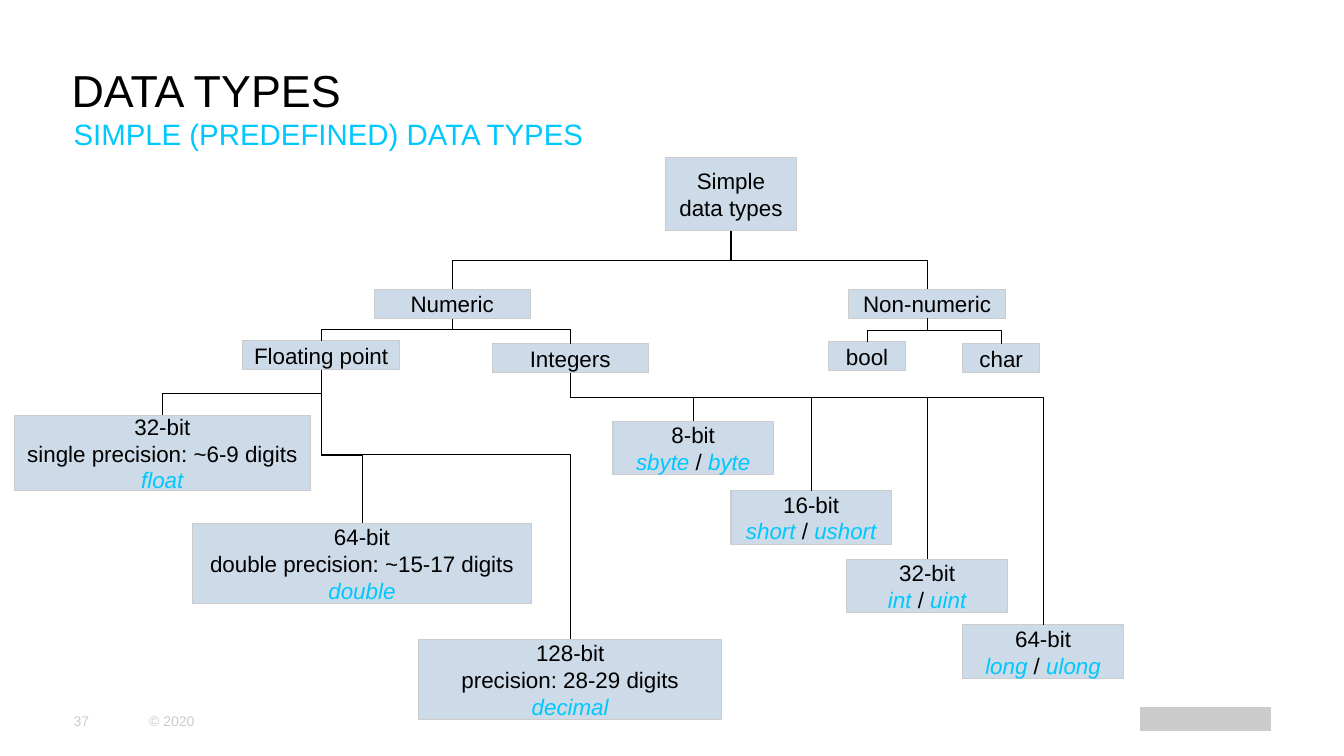
from dataclasses import dataclass

from lxml import etree
from pptx import Presentation
from pptx.dml.color import RGBColor
from pptx.enum.shapes import MSO_CONNECTOR, MSO_SHAPE
from pptx.enum.text import MSO_ANCHOR, MSO_AUTO_SIZE, PP_ALIGN
from pptx.oxml.ns import qn
from pptx.util import Inches, Pt

ELBOW, RECTANGLE = MSO_CONNECTOR.ELBOW, MSO_SHAPE.RECTANGLE
TOP, MIDDLE, BOTTOM = MSO_ANCHOR.TOP, MSO_ANCHOR.MIDDLE, MSO_ANCHOR.BOTTOM
LEFT, CENTER, NO_FIT = PP_ALIGN.LEFT, PP_ALIGN.CENTER, MSO_AUTO_SIZE.NONE

FONT = "Arial"
COLORS = {"text": "000000", "accent": "00C8FF", "box": "CDDAE7", "muted": "CCCCCC"}


@dataclass
class Node:
    """A box of the tree; bend is the height of the line's bar above it."""
    lines: tuple
    left: float
    top: float
    width: float
    height: float
    bend: float = 0
    keywords: tuple = ()
    children: tuple = ()

    @property
    def center(self) -> float:
        return self.left + self.width / 2

    @property
    def bottom(self) -> float:
        return self.top + self.height


def color(name: str) -> RGBColor:
    return RGBColor.from_string(COLORS[name])


def style(font, size: int, color_name: str, italic: bool = False) -> None:
    font.name, font.size, font.italic = FONT, Pt(size), italic
    font.color.rgb = color(color_name)


def fill_label(shape, text: str, size: int, color_name: str, anchor) -> None:
    frame = shape.text_frame
    frame.text = text
    frame.word_wrap, frame.auto_size, frame.vertical_anchor = True, NO_FIT, anchor
    frame.margin_left = frame.margin_right = frame.margin_top = frame.margin_bottom = 0
    para = frame.paragraphs[0]
    para.alignment = LEFT
    style(para.runs[0].font, size, color_name)


def add_label(page, text: str, area: tuple, size: int, color_name: str, anchor) -> None:
    box = page.shapes.add_textbox(*map(Inches, area))
    fill_label(box, text, size, color_name, anchor)


def add_block(page, area: tuple, fill: str):
    block = page.shapes.add_shape(RECTANGLE, *map(Inches, area))
    block.shadow.inherit = False
    block.fill.solid()
    block.fill.fore_color.rgb = color(fill)
    block.line.color.rgb = color("muted")
    block.line.width = Pt(0.75)
    return block


def add_box(page, node: Node) -> None:
    box = add_block(page, (node.left, node.top, node.width, node.height), "box")
    frame = box.text_frame
    frame.word_wrap, frame.vertical_anchor = True, MIDDLE
    frame.text = "\n".join(node.lines)
    for para in frame.paragraphs:
        para.alignment = CENTER
        style(para.runs[0].font, 16, "text")
    if node.keywords:
        para = frame.add_paragraph()
        para.alignment = CENTER
        for index, keyword in enumerate(node.keywords):
            if index:
                slash = para.add_run()
                slash.text = " / "
                style(slash.font, 16, "text")
            span = para.add_run()
            span.text = keyword
            style(span.font, 16, "accent", italic=True)


def add_branch(page, parent: Node, child: Node) -> None:
    """Elbow line leaving the parent downwards: a turned horizontal elbow."""
    drop = child.top - parent.bottom
    shift = child.center - parent.center
    middle_x = (parent.center + child.center) / 2
    middle_y = (parent.bottom + child.top) / 2
    side = 1 if shift > 0 else -1
    line = page.shapes.add_connector(
        ELBOW,
        Inches(middle_x + side * drop / 2), Inches(middle_y - abs(shift) / 2),
        Inches(middle_x - side * drop / 2), Inches(middle_y + abs(shift) / 2))
    line.line.color.rgb = color("text")
    line.line.width = Pt(0.75)
    properties = line._element.spPr
    turn = 270 if shift > 0 else 90
    properties.find(qn("a:xfrm")).set("rot", str(turn * 60000))
    guides = properties.find(qn("a:prstGeom")).get_or_add_avLst()
    ratio = round((child.bend - parent.bottom) / drop * 100000)
    etree.SubElement(guides, qn("a:gd"), name="adj1", fmla=f"val {ratio}")
    etree.SubElement(properties, qn("a:effectLst"))


def add_tree(page, node: Node) -> None:
    add_box(page, node)
    for child in node.children:
        add_tree(page, child)
        add_branch(page, node, child)


FLOATING = Node(("Floating point",), 2.41, 3.38, 1.55, 0.29, 3.27, children=(
    Node(("32-bit", "single precision: ~6-9 digits"), 0.14, 4.12, 2.94, 0.75, 3.9, ("float",)),
    Node(("64-bit", "double precision: ~15-17 digits"), 1.91, 5.19, 3.36, 0.8, 4.52, ("double",)),
    Node(("128-bit", "precision: 28-29 digits"), 4.15, 6.34, 3.01, 0.8, 4.51, ("decimal",)),
))
INTEGERS = Node(("Integers",), 4.88, 3.41, 1.55, 0.29, 3.27, children=(
    Node(("8-bit",), 6.08, 4.18, 1.59, 0.53, 3.94, ("sbyte", "byte")),
    Node(("16-bit",), 7.25, 4.87, 1.59, 0.53, 3.94, ("short", "ushort")),
    Node(("32-bit",), 8.4, 5.55, 1.59, 0.53, 3.94, ("int", "uint")),
    Node(("64-bit",), 9.55, 6.2, 1.59, 0.53, 3.94, ("long", "ulong")),
))
NUMERIC = Node(("Numeric",), 3.71, 2.87, 1.55, 0.29, 2.58, children=(FLOATING, INTEGERS))
NON_NUMERIC = Node(("Non-numeric",), 8.42, 2.87, 1.55, 0.29, 2.58, children=(
    Node(("bool",), 8.22, 3.39, 0.76, 0.29, 3.28),
    Node(("char",), 9.55, 3.41, 0.76, 0.29, 3.28),
))
ROOT = Node(("Simple data types",), 6.6, 1.56, 1.3, 0.73, children=(NUMERIC, NON_NUMERIC))


def main() -> None:
    deck = Presentation()
    deck.slide_width, deck.slide_height = Inches(13.33), Inches(7.5)
    page = deck.slides.add_slide(deck.slide_layouts[5])

    # Title and subtitle
    title = page.shapes.title
    title.left, title.top, title.width, title.height = map(Inches, (0.71, 0.01, 11.9, 1.15))
    fill_label(title, "DATA TYPES", 32, "text", BOTTOM)
    add_label(page, "SIMPLE (PREDEFINED) DATA TYPES", (0.73, 1.15, 11.87, 0.44), 21, "accent", TOP)

    # Type tree
    add_tree(page, ROOT)

    # Footer with a plain block in the corner
    add_label(page, "37", (0.73, 6.95, 0.74, 0.4), 10, "muted", MIDDLE)
    add_label(page, "© 2020", (1.48, 6.95, 1.08, 0.4), 10, "muted", MIDDLE)
    add_block(page, (11.31, 7.02, 1.29, 0.23), "muted")

    deck.save("out.pptx")


if __name__ == "__main__":
    main()
